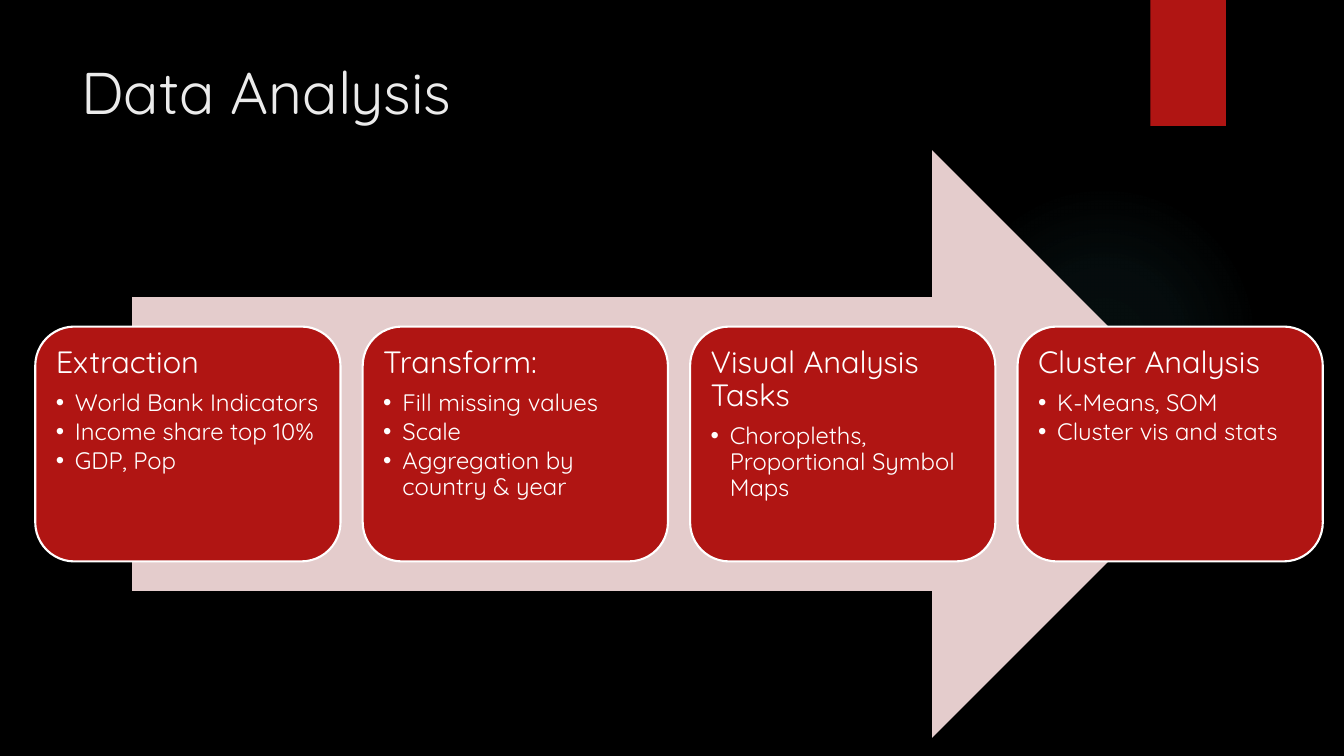
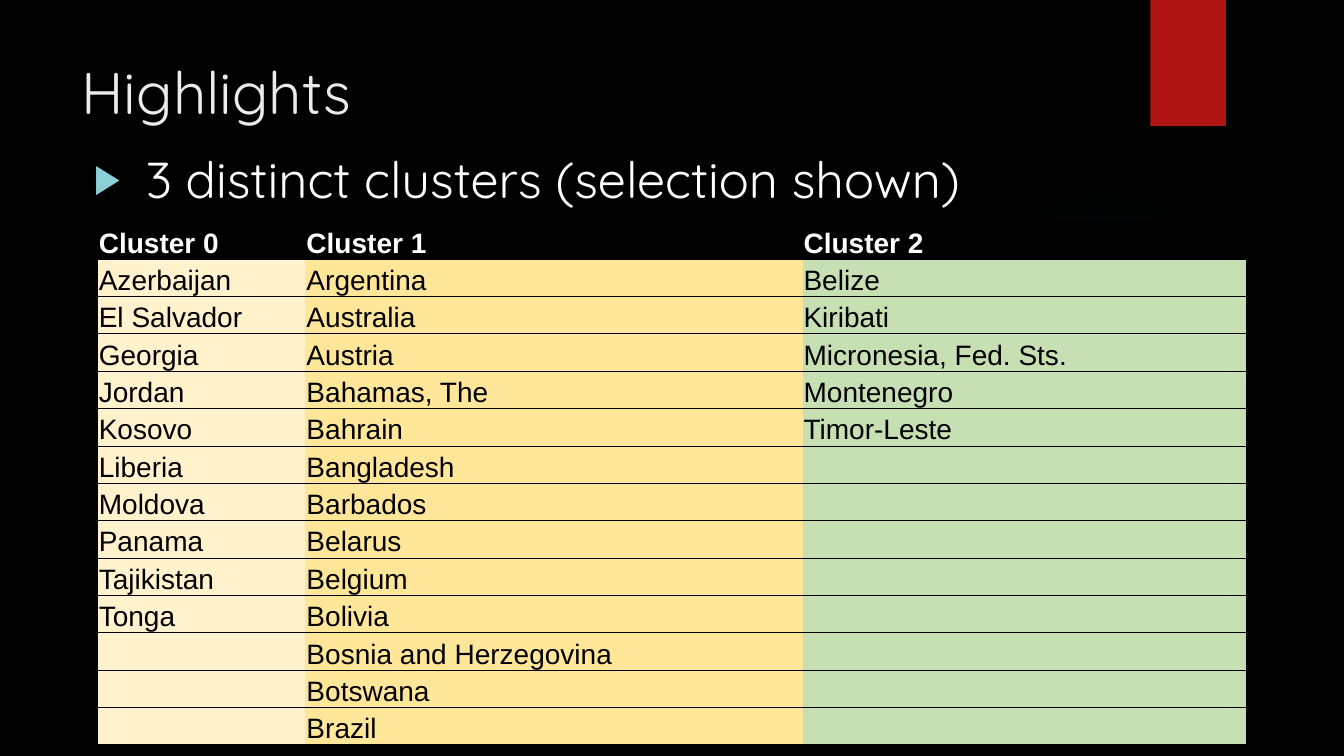
import itertools

import lxml.etree
import pptx
import pptx.dml.color
import pptx.enum.shapes
import pptx.enum.text
import pptx.oxml
import pptx.oxml.ns
import pptx.util

Inches = pptx.util.Inches
Pt = pptx.util.Pt
SHAPE = pptx.enum.shapes.MSO_SHAPE
ANCHOR = pptx.enum.text.MSO_ANCHOR
qn = pptx.oxml.ns.qn

FONT = "Quicksand"
BLACK = "000000"
WHITE = "FFFFFF"
RED = "B01513"
PINK = "E4CCCC"
TEAL = "50B9C1"
AQUA = "8AD0D6"
PALE = "EBEBEB"
NO_STYLE = "{2D5ABB26-0587-4C30-8999-92F81FD0307C}"

STEPS = [
    ("Extraction",
     ["World Bank Indicators", "Income share top 10%", "GDP, Pop"]),
    ("Transform:",
     ["Fill missing values", "Scale", "Aggregation by country & year"]),
    ("Visual Analysis Tasks", ["Choropleths, Proportional Symbol Maps"]),
    ("Cluster Analysis", ["K-Means, SOM", "Cluster vis and stats"]),
]

# heading, fill, width, countries
CLUSTERS = [
    ("Cluster 0", "FFF2CC", 2.06,
     ["Azerbaijan", "El Salvador", "Georgia", "Jordan", "Kosovo", "Liberia",
      "Moldova", "Panama", "Tajikistan", "Tonga"]),
    ("Cluster 1", "FFE699", 4.93,
     ["Argentina", "Australia", "Austria", "Bahamas, The", "Bahrain",
      "Bangladesh", "Barbados", "Belarus", "Belgium", "Bolivia",
      "Bosnia and Herzegovina", "Botswana", "Brazil"]),
    ("Cluster 2", "C6E0B4", 4.4,
     ["Belize", "Kiribati", "Micronesia, Fed. Sts.", "Montenegro",
      "Timor-Leste"]),
]


def rgb(code):
    return pptx.dml.color.RGBColor.from_string(code)


def paint(fill, code):
    fill.solid()
    fill.fore_color.rgb = rgb(code)


def style(para, size, code, font=FONT, bold=False):
    for run in para.runs:
        run.font.size = Pt(size)
        run.font.name = font
        run.font.bold = bold
        run.font.color.rgb = rgb(code)


def place(shape, box):
    shape.left, shape.top, shape.width, shape.height = map(Inches, box)


def inset(frame, side, top):
    frame.margin_left = frame.margin_right = Inches(side)
    frame.margin_top = frame.margin_bottom = Inches(top)


def bullet(para, char, indent, code=None, scale=100):
    """Give a paragraph a hanging bullet."""
    props = para._p.get_or_add_pPr()
    props.set("marL", str(Inches(indent)))
    props.set("indent", str(-Inches(indent)))
    if code:
        hue = lxml.etree.SubElement(props, qn("a:buClr"))
        lxml.etree.SubElement(hue, qn("a:srgbClr")).set("val", code)
    size = lxml.etree.SubElement(props, qn("a:buSzPct"))
    size.set("val", str(scale * 1000))
    lxml.etree.SubElement(props, qn("a:buFont")).set("typeface", "Arial")
    lxml.etree.SubElement(props, qn("a:buChar")).set("char", char)


def block(slide, kind, box, code, line=None):
    """Add a flat preset shape."""
    shape = slide.shapes.add_shape(kind, *map(Inches, box))
    shape.shadow.inherit = False
    paint(shape.fill, code)
    if line:
        shape.line.color.rgb = rgb(line)
        shape.line.width = Pt(1.5)
    else:
        shape.line.fill.background()
    return shape


def glow(slide, box):
    shape = block(slide, SHAPE.OVAL, box, TEAL)
    stops = "".join(
        f'<a:gs pos="{pos}000"><a:srgbClr val="{TEAL}">'
        f'<a:alpha val="{alpha}000"/></a:srgbClr></a:gs>'
        for pos, alpha in [(0, 7), (36, 6), (69, 0)])
    grad = pptx.oxml.parse_xml(
        f'<a:gradFill {pptx.oxml.ns.nsdecls("a")}><a:gsLst>{stops}</a:gsLst>'
        '<a:path path="circle"><a:fillToRect l="50000" t="50000" '
        'r="50000" b="50000"/></a:path></a:gradFill>')
    props = shape._element.spPr
    props.replace(props.find(qn("a:solidFill")), grad)


def write(holder, box, text, size, code):
    """Fill a placeholder with one line at the top left of its box."""
    place(holder, box)
    frame = holder.text_frame
    frame.text = text
    frame.word_wrap = True
    frame.auto_size = pptx.enum.text.MSO_AUTO_SIZE.NONE
    frame.vertical_anchor = ANCHOR.TOP
    para = frame.paragraphs[0]
    para.alignment = pptx.enum.text.PP_ALIGN.LEFT
    style(para, size, code)
    return para


def start(deck, layout, title):
    """Add a slide with the shared decoration and title."""
    slide = deck.slides.add_slide(deck.slide_layouts[layout])
    glow(slide, (9.41, 1.83, 3.08, 3.08))
    block(slide, SHAPE.RECTANGLE, (11.41, 0, 0.75, 1.25), RED)
    write(slide.shapes.title, (0.71, 0.5, 10.29, 1.53), title, 42, PALE)
    return slide


def card(slide, box, head, items):
    shape = block(slide, SHAPE.ROUNDED_RECTANGLE, box, RED, WHITE)
    frame = shape.text_frame
    frame.text = "\n".join([head] + items)
    frame.word_wrap = True
    frame.vertical_anchor = ANCHOR.TOP
    inset(frame, 0.09, 0.09)
    for i, para in enumerate(frame.paragraphs):
        para.alignment = pptx.enum.text.PP_ALIGN.LEFT
        para.line_spacing = 0.9
        para.space_after = Pt(2.5 if i else 7.5)
        style(para, 17 if i else 22, WHITE)
        if i:
            bullet(para, "•", 0.19)


def flow(slide, box, steps, gap=0.22):
    """Lay the step cards out in one row."""
    left, top, width, height = box
    wide = (width - gap * (len(steps) - 1)) / len(steps)
    for i, (head, items) in enumerate(steps):
        card(slide, (left + i * (wide + gap), top, wide, height), head, items)


def rule(cell):
    """Draw thin lines above and below a cell."""
    props = cell._tc.get_or_add_tcPr()
    for i, side in enumerate(["lnT", "lnB"]):
        props.insert(i, pptx.oxml.parse_xml(
            f'<a:{side} {pptx.oxml.ns.nsdecls("a")} w="6350"><a:solidFill>'
            f'<a:srgbClr val="{BLACK}"/></a:solidFill></a:{side}>'))


def grid(slide, box, groups):
    rows = list(itertools.zip_longest(
        *([head] + names for head, _, _, names in groups), fillvalue=""))
    frame = slide.shapes.add_table(len(rows), len(groups), *map(Inches, box))
    table = frame.table
    table._tbl.tblPr.find(qn("a:tableStyleId")).text = NO_STYLE
    table.horz_banding = False
    for col, group in zip(table.columns, groups):
        col.width = Inches(group[2])
    for r, row in enumerate(rows):
        table.rows[r].height = Inches(box[3] / len(rows))
        for c, text in enumerate(row):
            cell = table.cell(r, c)
            cell.text = text
            cell.vertical_anchor = ANCHOR.BOTTOM
            inset(cell, 0.01, 0)
            paint(cell.fill, groups[c][1] if r else BLACK)
            style(cell.text_frame.paragraphs[0], 20, BLACK if r else WHITE,
                  "Arial", r == 0)
            rule(cell)


def process(deck):
    slide = start(deck, 5, "Data Analysis")
    block(slide, SHAPE.RIGHT_ARROW, (1.31, 1.49, 10.85, 5.83), PINK)
    flow(slide, (0.35, 3.24, 12.77, 2.33), STEPS)


def results(deck):
    slide = start(deck, 1, "Highlights")
    para = write(slide.placeholders[1], (0.83, 1.42, 9.78, 4.96),
                 " 3 distinct clusters (selection shown)", 36, WHITE)
    para.space_before = Pt(10)
    bullet(para, "▶", 0.38, AQUA, 80)
    grid(slide, (0.97, 2.2, 11.39, 5.19), CLUSTERS)


def main():
    deck = pptx.Presentation()
    deck.slide_width = Inches(13.33)
    deck.slide_height = Inches(7.5)
    paint(deck.slide_master.background.fill, BLACK)
    process(deck)
    results(deck)
    deck.save("out.pptx")


if __name__ == "__main__":
    main()
